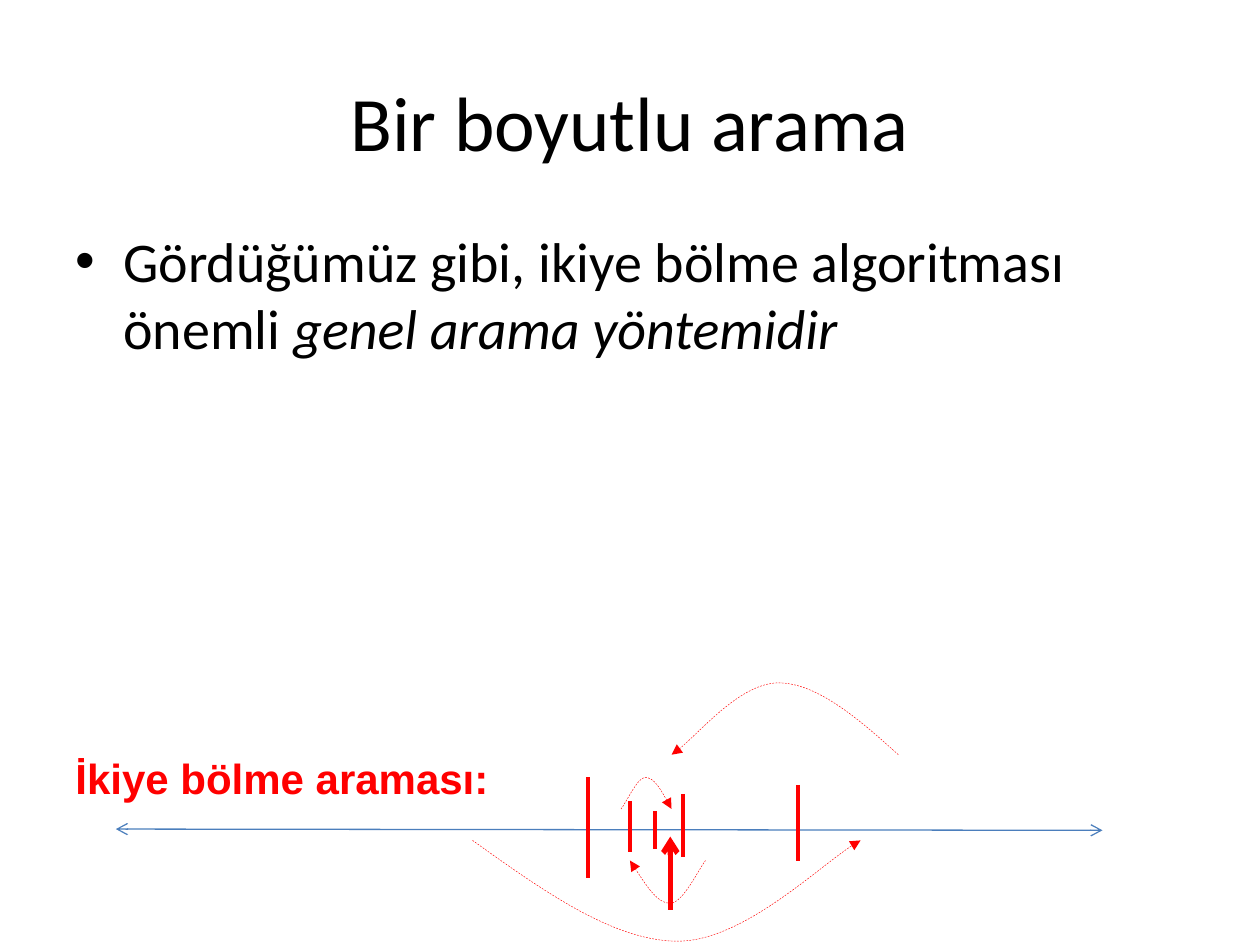
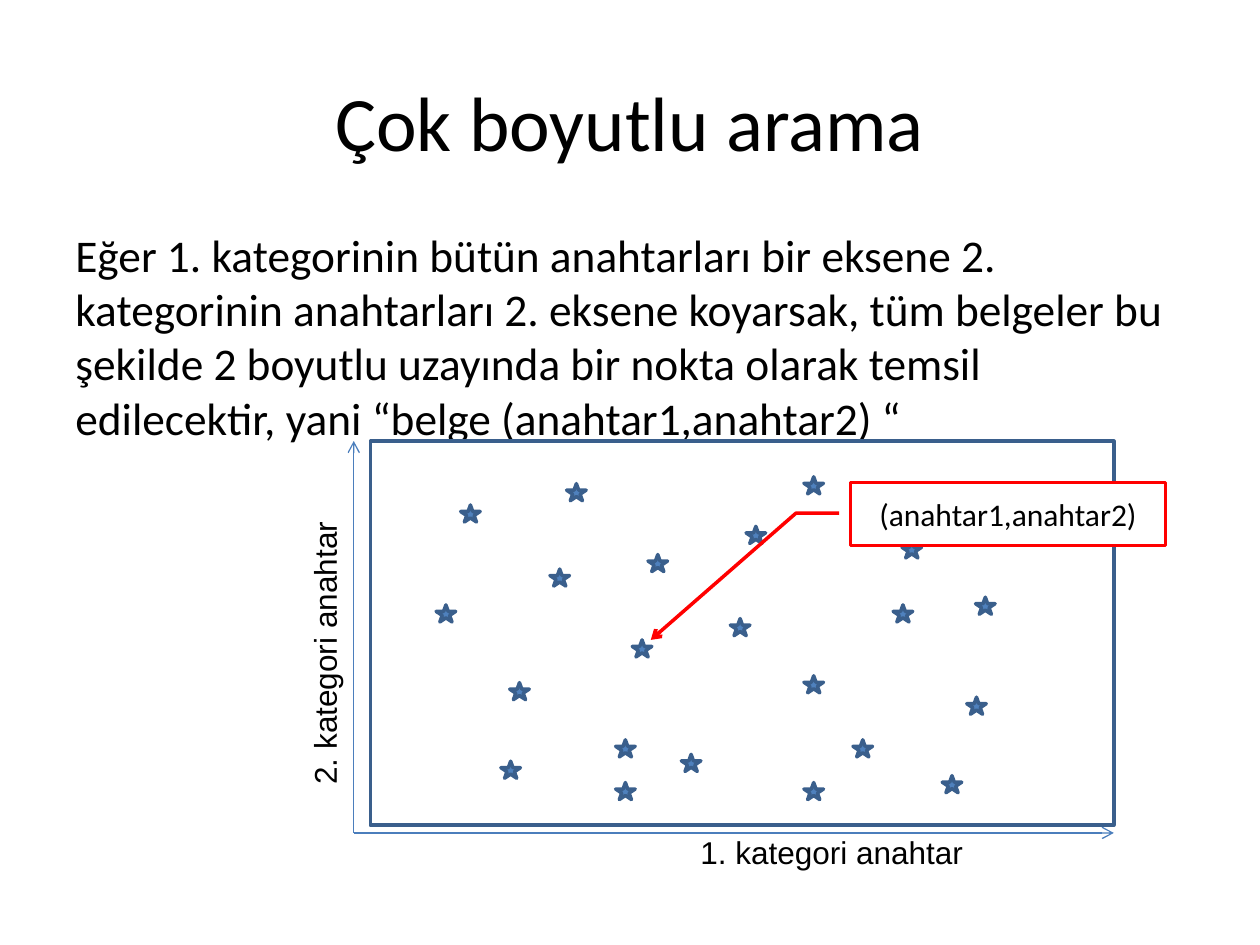
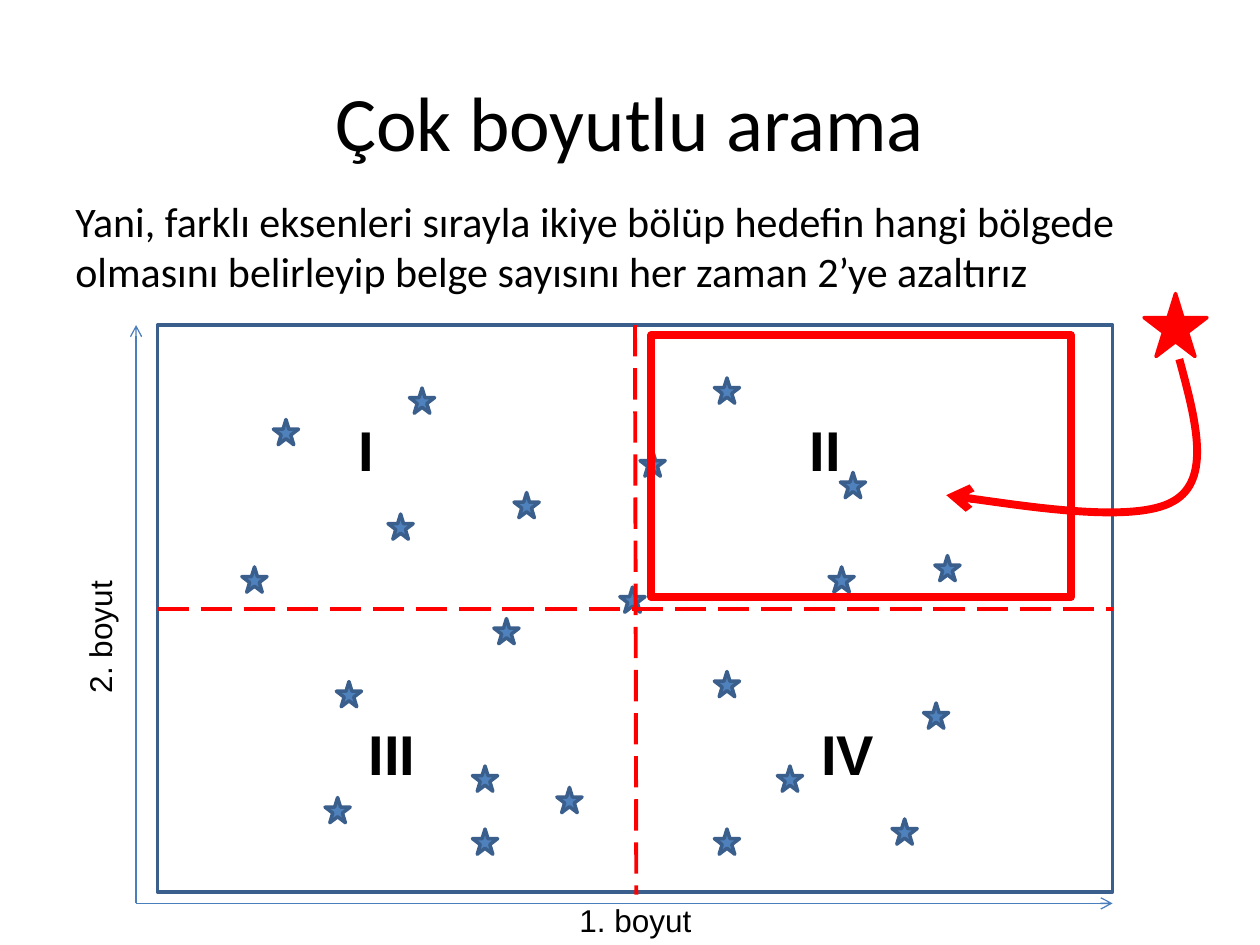
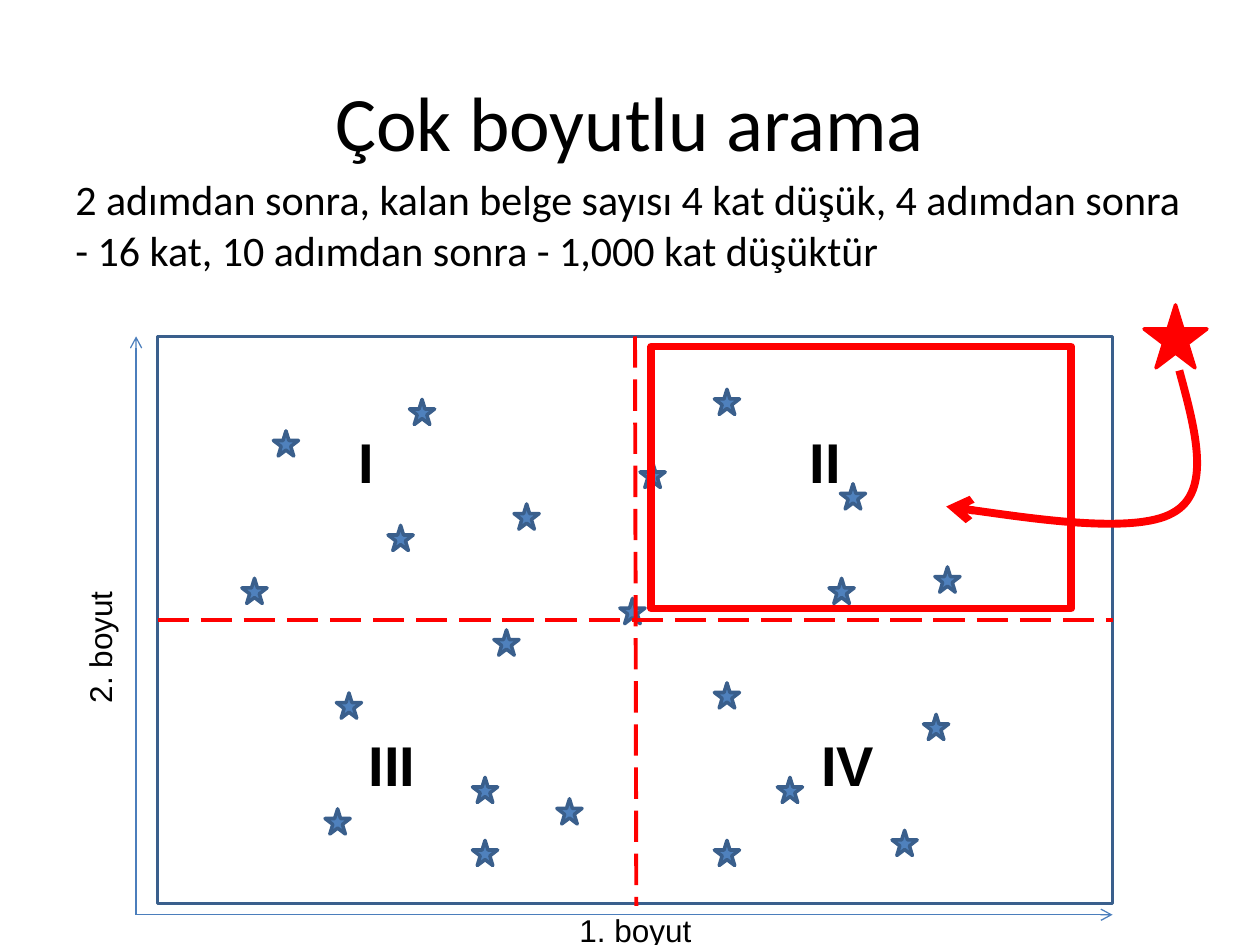
from lxml import etree
from pptx import Presentation
from pptx import util as u
from pptx.dml.color import RGBColor
from pptx.enum import dml, shapes, text
from pptx.oxml.ns import qn

Inches, Pt = u.Inches, u.Pt
STAR, RECT = shapes.MSO_SHAPE.STAR_5_POINT, shapes.MSO_SHAPE.RECTANGLE
STRAIGHT = shapes.MSO_CONNECTOR.STRAIGHT
DASH, LONG_DASH = dml.MSO_LINE.DASH, dml.MSO_LINE.LONG_DASH
C = {"black": "000000", "white": "FFFFFF", "red": "FF0000",
     "star": "4F81BD", "edge": "3A5F8C", "axis": "4B7EBC"}


def add_text(parent, at, runs, size=18, font="Calibri", color="black", bold=False,
             align=None, anchor=None, wrap=True, rotation=0, bullet=False):
    """Add a text box; runs is a string or a list of (string, italic) pairs."""
    tb = parent.add_textbox(*map(Inches, at))
    tb.rotation = rotation
    tf = tb.text_frame
    tf.word_wrap = wrap
    tf.vertical_anchor = anchor
    p = tf.paragraphs[0]
    p.alignment = align
    if bullet:
        pPr = p._p.get_or_add_pPr()
        pPr.set("marL", str(Inches(0.38)))
        pPr.set("indent", str(-Inches(0.38)))
        etree.SubElement(pPr, qn("a:buFont"), typeface="Arial")
        etree.SubElement(pPr, qn("a:buChar"), char="•")
    for words, italic in [(runs, False)] if isinstance(runs, str) else runs:
        r = p.add_run()
        r.text = words
        r.font.name, r.font.size = font, Pt(size)
        r.font.bold, r.font.italic = bold, italic
        r.font.color.rgb = RGBColor.from_string(C[color])


def style(sp, color, width, fill=None, dash=None, head=None, tail=None):
    """Set outline, fill and arrowheads of a shape or connector, without shadow."""
    sp.line.color.rgb = RGBColor.from_string(C[color])
    sp.line.width = Pt(width)
    if dash:
        sp.line.dash_style = dash
    if fill:
        sp.fill.solid()
        sp.fill.fore_color.rgb = RGBColor.from_string(C[fill])
    elif hasattr(sp, "fill"):
        sp.fill.background()
    spPr = sp._element.spPr
    for tag, kind in (("a:headEnd", head), ("a:tailEnd", tail)):
        if kind:
            etree.SubElement(spPr.find(qn("a:ln")), qn(tag), type=kind)
    etree.SubElement(spPr, qn("a:effectLst"))


prs = Presentation()
prs.slide_width, prs.slide_height = Inches(10), Inches(7.5)

# Titles and body text
SEARCH = "Çok boyutlu arama"
PAGES = [
    ("Bir boyutlu arama", 1.75, 3.5, 32,
     [("Gördüğümüz gibi, ikiye bölme algoritması önemli ", False),
      ("genel arama yöntemidir", True)]),
    (SEARCH, 1.75, 1.58, 25.9,
     "Eğer 1. kategorinin bütün anahtarları bir eksene 2. kategorinin anahtarları "
     "2. eksene koyarsak, tüm belgeler bu şekilde 2 boyutlu uzayında bir nokta olarak "
     "temsil edilecektir, yani “belge (anahtar1,anahtar2) “"),
    (SEARCH, 1.5, 1.08, 24,
     "Yani, farklı eksenleri sırayla ikiye bölüp hedefin hangi bölgede olmasını "
     "belirleyip belge sayısını her zaman 2’ye azaltırız"),
    (SEARCH, 1.33, 1.25, 24,
     "2 adımdan sonra, kalan belge sayısı 4 kat düşük, 4 adımdan sonra - 16 kat, "
     "10 adımdan sonra - 1,000 kat düşüktür"),
]
for i, (title, top, height, size, body) in enumerate(PAGES):
    s = prs.slides.add_slide(prs.slide_layouts[6])
    add_text(s.shapes, (0.5, 0.33, 9, 1.25), title, size=44,
             align=text.PP_ALIGN.CENTER, anchor=text.MSO_ANCHOR.MIDDLE)
    add_text(s.shapes, (0.5, top, 9, height), body, size=size, bullet=i == 0)
line_slide, plot_slide, *quadrant_slides = prs.slides

# Slide 1: number line, halving marks, pointer to the target
LINES = [((0.92, 6.58, 8.75, 6.59), dict(color="axis", width=0.75, head="arrow", tail="arrow"))]
for x, top, bottom in [(4.67, 6.17, 6.97), (6.33, 6.23, 6.83), (5.42, 6.3, 6.8),
                       (5, 6.36, 6.76), (5.2, 6.44, 6.74)]:
    LINES.append(((x, top, x, bottom), dict(color="red", width=2.25)))
LINES.append(((5.32, 7.22, 5.32, 6.64), dict(color="red", width=3, tail="arrow")))
for ends, look in LINES:
    style(line_slide.shapes.add_connector(STRAIGHT, *map(Inches, ends)), **look)
add_text(line_slide.shapes, (0.5, 5.92, 3.51, 0.5), "İkiye bölme araması:",
         size=24, font="Arial", color="red", bold=True, wrap=False)

# Slides 2-4: one scatter of documents; stars are offsets in the full-size frame
FULL_W, FULL_H = 7.58, 4.5
STARS = [(0.92, 0.75), (2, 0.5), (4.42, 0.42), (0.67, 1.92), (5.33, 1.92), (2.83, 1.33),
         (1.42, 2.83), (2.5, 3.5), (1.83, 1.5), (3.67, 2.08), (6.08, 3), (4.42, 2.75),
         (5.42, 1.17), (2.67, 2.33), (3.17, 3.67), (3.83, 1), (4.92, 3.5), (2.5, 4),
         (5.83, 3.92), (6.17, 1.83), (1.33, 3.75), (4.42, 4)]
PLOTS = [  # slide, frame, axis name, label width, x label corner, y label corner
    (plot_slide, (2.94, 3.5, 5.9, 3.05), "kategori anahtar", 2.31, (5.46, 6.56), (1.42, 4.97)),
    (quadrant_slides[0], (1.25, 2.58, FULL_W, FULL_H), "boyut", 1.1, (4.5, 7.1), (0.24, 4.85)),
    (quadrant_slides[1], (1.25, 2.67, FULL_W, FULL_H), "boyut", 1.1, (4.5, 7.18), (0.24, 4.93)),
]
for s, (left, top, w, h), name, label_w, x_label, y_label in PLOTS:
    parent = s.shapes.add_group_shape().shapes if s == plot_slide else s.shapes
    sx, sy = w / FULL_W, h / FULL_H
    style(parent.add_shape(RECT, *map(Inches, (left, top, w, h))), "edge", 2)
    for x, y in STARS:
        box = (left + x * sx, top + y * sy, 0.2 * sx, 0.2 * sy)
        style(parent.add_shape(STAR, *map(Inches, box)), "edge", 2, fill="star")
    x0, y0 = left - 0.17 * sx, top + h + 0.09 * sy
    for end in ((left + w, y0), (x0, top)):
        style(parent.add_connector(STRAIGHT, *map(Inches, (x0, y0, *end))),
              "axis", 0.75, tail="arrow")
    for n, corner, turn in ((1, x_label, 0), (2, y_label, 270)):
        add_text(parent, (*corner, label_w, 0.4), f"{n}. {name}", font="Arial",
                 wrap=False, rotation=turn)

# Slide 2: callout to one document
sp = plot_slide.shapes.add_shape(shapes.MSO_SHAPE.LINE_CALLOUT_2,
                                 *map(Inches, (6.75, 3.83, 2.5, 0.5)))
for i, value in enumerate((0.486, -0.036, 0.486, -0.173, 2.498, -0.634)):
    sp.adjustments[i] = value
style(sp, "red", 2, fill="white", tail="arrow")
tf = sp.text_frame
tf.vertical_anchor = text.MSO_ANCHOR.MIDDLE
p = tf.paragraphs[0]
p.alignment = text.PP_ALIGN.CENTER
r = p.add_run()
r.text = "(anahtar1,anahtar2)"
r.font.name, r.font.size = "Calibri", Pt(18)
r.font.color.rgb = RGBColor.from_string(C["black"])

# Curves: slide, points (start, then two controls and an end per segment), look
HOP = dict(width=0.25, dash=DASH)
CURVES = [
    (line_slide, [(3.75, 6.67), (4.31, 7.07), (4.87, 7.47), (5.38, 7.47),
                  (5.89, 7.47), (6.58, 6.8), (6.83, 6.67)], dict(HOP, tail="triangle")),
    (line_slide, [(7.13, 5.99), (6.81, 5.7), (6.48, 5.42), (6.18, 5.42),
                  (5.88, 5.42), (5.48, 5.9), (5.33, 5.99)], dict(HOP, tail="triangle")),
    (line_slide, [(5, 6.83), (5.11, 7), (5.22, 7.17), (5.32, 7.17),
                  (5.42, 7.17), (5.55, 6.89), (5.6, 6.83)], dict(HOP, head="triangle")),
    (line_slide, [(5.33, 6.42), (5.26, 6.29), (5.19, 6.17), (5.12, 6.17),
                  (5.06, 6.17), (4.97, 6.37), (4.93, 6.42)], dict(HOP, head="triangle")),
]

# Slides 3-4: halving lines, quadrant names, target star and its quadrant
for s, top in zip(quadrant_slides, (2.58, 2.67)):
    for ends in ((5.04, top, 5.05, top + 4.52), (1.25, top + 2.25, 8.83, top + 2.25)):
        style(s.shapes.add_connector(STRAIGHT, *map(Inches, ends)),
              "red", 2.25, dash=LONG_DASH)
    for name, x, y in (("I", 2.75, 0.67), ("II", 6.33, 0.67),
                       ("III", 2.83, 3.08), ("IV", 6.42, 3.08)):
        add_text(s.shapes, (x, top + y, 0.69, 0.64), name, size=32, font="Arial", bold=True)
    target = s.shapes.add_shape(STAR, *map(Inches, (9.08, top - 0.25, 0.5, 0.5)))
    style(target, "red", 2, fill="red")
    chosen = s.shapes.add_shape(RECT, *map(Inches, (5.17, top + 0.08, 3.33, 2.08)))
    style(chosen, "red", 4.5)
    path_points = [(9.36, 0.27), (9.49, 0.75), (9.62, 1.23), (9.31, 1.4),
                   (9, 1.58), (7.51, 1.35), (7.51, 1.35)]
    CURVES.append((s, [(x, top + y) for x, y in path_points], dict(width=4.5, tail="arrow")))

for s, points, look in CURVES:
    start, *rest = [(Inches(x), Inches(y)) for x, y in points]
    builder = s.shapes.build_freeform(*start)
    builder.add_line_segments(rest, close=False)
    sp = builder.convert_to_shape()
    outline = sp._element.find(".//" + qn("a:path"))
    segments = outline.findall(qn("a:lnTo"))
    for i in range(0, len(segments), 3):  # each three points become one Bezier segment
        bezier = etree.SubElement(outline, qn("a:cubicBezTo"))
        for segment in segments[i:i + 3]:
            bezier.append(segment[0])
            outline.remove(segment)
    style(sp, "red", **look)

prs.save("out.pptx")
